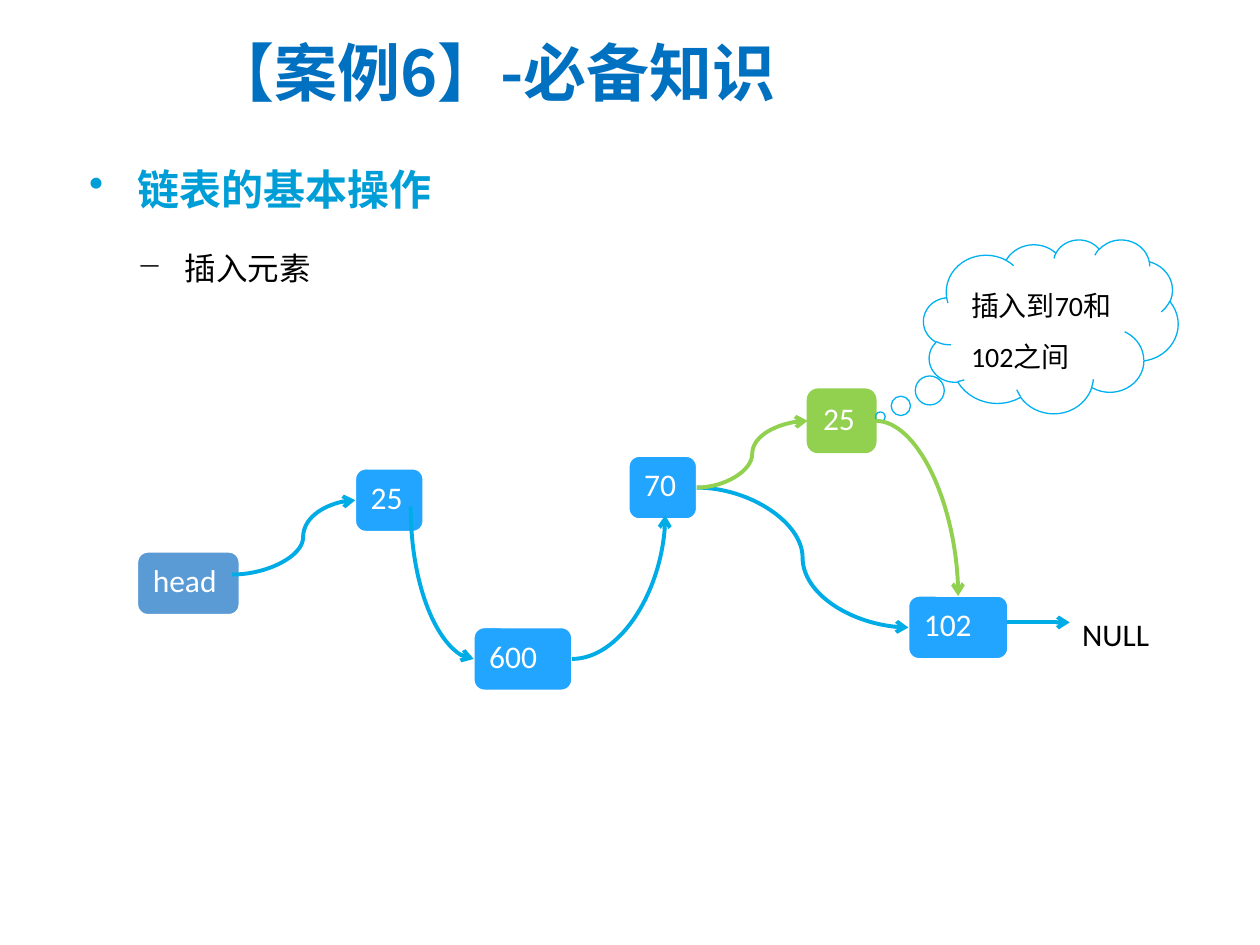
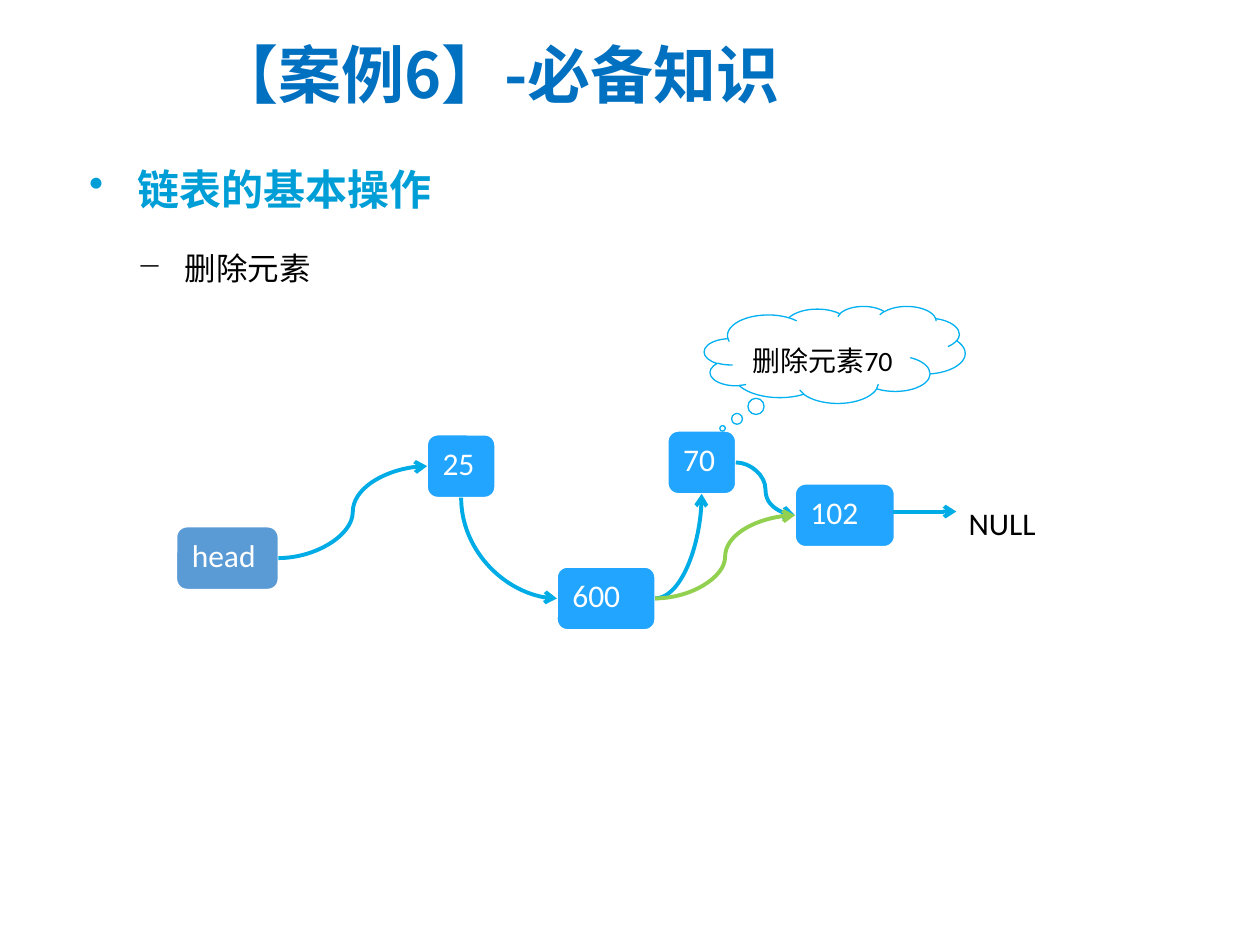
from dataclasses import dataclass

from pptx import Presentation
from pptx.dml.color import RGBColor
from pptx.enum.shapes import MSO_CONNECTOR as Connector, MSO_SHAPE as Shape
from pptx.enum.text import MSO_ANCHOR as Anchor, MSO_AUTO_SIZE as AutoSize, PP_ALIGN as Align
from pptx.oxml.ns import qn
from pptx.oxml.xmlchemy import OxmlElement
from pptx.util import Inches, Pt

TOP, LEFT, BOTTOM, RIGHT = range(4)


@dataclass(frozen=True)
class Theme:
    """Colours, fonts and type sizes shared by the slides."""
    title: str = "0070C0"
    heading: str = "009ED6"
    body: str = "000000"
    white: str = "FFFFFF"
    head: str = "5B9BD5"
    node: str = "21A5FF"
    link: str = "00ACE6"
    change: str = "92D050"
    cloud: str = "00B0F0"
    latin: str = "Calibri"
    chinese: str = "Noto Sans CJK SC"
    title_size: int = 36
    heading_size: int = 24
    body_size: int = 18
    cloud_size: int = 16


THEME = Theme()
NODE_HEIGHT = 0.5
NODE_WIDTHS = {"head": 0.81, "25": 0.54, "70": 0.54, "600": 0.78, "102": 0.79}


def rgb(color):
    """Turn a hex string into a colour."""
    return RGBColor.from_string(color)


def write(shape, text, size, color, font=THEME.latin, bold=False):
    """Write one left-aligned paragraph and return it."""
    para = shape.text_frame.paragraphs[0]
    para.alignment = Align.LEFT
    span = para.add_run()
    span.text = text
    span.font.size = Pt(size)
    span.font.bold = bold
    span.font.name = font
    span.font.color.rgb = rgb(color)
    east_asian = OxmlElement("a:ea")
    east_asian.set("typeface", THEME.chinese)
    span.font._element.find(qn("a:latin")).addnext(east_asian)
    return para


def add_box(page, left, top, width, height, wrap=True):
    """Add an empty text box."""
    box = page.shapes.add_textbox(Inches(left), Inches(top), Inches(width), Inches(height))
    box.text_frame.word_wrap = wrap
    return box


def set_spacing(para, size):
    """Open up the lines and the space before a paragraph."""
    para.line_spacing = 1.5
    para.space_before = Pt(size * 0.2)


def set_bullet(para, mark):
    """Give a paragraph a hanging bullet."""
    properties = para._p.get_or_add_pPr()
    properties.set("marL", str(Inches(0.38)))
    properties.set("indent", str(-Inches(0.38)))
    bullet = OxmlElement("a:buChar")
    bullet.set("char", mark)
    properties.append(bullet)


def add_title(page, left, top):
    """Add the title of the case."""
    box = add_box(page, left, top, 5.63, 0.84)
    box.text_frame.vertical_anchor = Anchor.MIDDLE
    write(box, "【案例6】-必备知识", THEME.title_size, THEME.title, THEME.chinese, True)


def add_outline(page, operation):
    """Add the shared heading and the operation beneath it."""
    heading = add_box(page, 0.61, 1.05, 2.95, 0.71, wrap=False)
    para = write(heading, "链表的基本操作", THEME.heading_size, THEME.heading, bold=True)
    set_spacing(para, THEME.heading_size)
    set_bullet(para, "•")
    detail = add_box(page, 0.99, 1.78, 2.57, 0.5)
    para = write(detail, operation, THEME.body_size, THEME.body)
    set_spacing(para, THEME.body_size)
    set_bullet(para, "−")


def add_node(page, label, left, top, fill=THEME.node, line=THEME.white):
    """Add one node of the linked list."""
    node = page.shapes.add_shape(Shape.ROUNDED_RECTANGLE, Inches(left), Inches(top),
                                 Inches(NODE_WIDTHS[label]), Inches(NODE_HEIGHT))
    node.shadow.inherit = False
    node.fill.solid()
    node.fill.fore_color.rgb = rgb(fill)
    node.line.color.rgb = rgb(line)
    node.line.width = Pt(1)
    node.text_frame.vertical_anchor = Anchor.TOP
    write(node, label, THEME.body_size, THEME.white)
    return node


def add_chain(page, places):
    """Add the nodes of the list and return them by label."""
    return {label: add_node(page, label, left, top,
                            THEME.head if label == "head" else THEME.node)
            for label, (left, top) in places.items()}


def side(node, site):
    """Return the middle of one side of a node."""
    across = {LEFT: 0, RIGHT: node.width}.get(site, node.width // 2)
    down = {TOP: 0, BOTTOM: node.height}.get(site, node.height // 2)
    return node.left + across, node.top + down


def spot(left, top):
    """Return a free point on the slide."""
    return Inches(left), Inches(top)


def style_link(link, color):
    """Colour a connector, remove its shadow and add an arrowhead."""
    link.line.color.rgb = rgb(color)
    link.line.width = Pt(2.25)
    arrow = OxmlElement("a:tailEnd")
    arrow.set("type", "arrow")
    link.line._get_or_add_ln().append(arrow)
    link._element.spPr.append(OxmlElement("a:effectLst"))


def add_link(page, start, end, color=THEME.link, kind=Connector.CURVE):
    """Draw an arrow between two points."""
    link = page.shapes.add_connector(kind, *start, *end)
    style_link(link, color)
    return link


def add_bend(page, start, end, color=THEME.link):
    """Draw a quarter curve that leaves sideways and arrives upright."""
    link = add_link(page, start, end, color)
    link._element.spPr.prstGeom.set("prst", "curvedConnector2")


def add_drop(page, start, end):
    """Draw a quarter curve that leaves downwards and arrives sideways."""
    (x1, y1), (x2, y2) = start, end
    middle_x, middle_y = (x1 + x2) // 2, (y1 + y2) // 2
    half_width, half_height = (x2 - x1) // 2, (y2 - y1) // 2
    link = add_link(page, (middle_x + half_height, middle_y - half_width),
                    (middle_x - half_height, middle_y + half_width))
    link._element.spPr.prstGeom.set("prst", "curvedConnector2")
    link._element.spPr.xfrm.set("rot", str(270 * 60000))


def join(page, first, second, color=THEME.link):
    """Join the right side of one node to the left side of the next."""
    link = add_link(page, side(first, RIGHT), side(second, LEFT), color)
    link.begin_connect(first, RIGHT)
    link.end_connect(second, LEFT)


def add_list_end(page, left, top):
    """Add the arrow to NULL and its label."""
    add_link(page, spot(left - 0.5, top), spot(left, top), kind=Connector.STRAIGHT)
    box = add_box(page, left, top - 0.26, 0.93, 0.56)
    para = write(box, "NULL", THEME.body_size, THEME.body)
    set_spacing(para, THEME.body_size)


def add_thought(page, text, left, top, width, height, tail):
    """Add a thought cloud whose tail points at a node."""
    cloud = page.shapes.add_shape(Shape.CLOUD_CALLOUT, Inches(left), Inches(top),
                                  Inches(width), Inches(height))
    cloud.shadow.inherit = False
    cloud.adjustments[0], cloud.adjustments[1] = tail
    cloud.fill.background()
    cloud.line.color.rgb = rgb(THEME.cloud)
    cloud.line.width = Pt(0.75)
    cloud.text_frame.vertical_anchor = Anchor.MIDDLE
    cloud.text_frame.auto_size = AutoSize.SHAPE_TO_FIT_TEXT
    write(cloud, text, THEME.cloud_size, THEME.body).line_spacing = 1.5


def build_insertion(page):
    """Show a node inserted between 70 and 102."""
    add_outline(page, "插入元素")
    add_title(page, 1.58, 0.15)
    chain = add_chain(page, {"head": (1.09, 4.38), "25": (2.82, 3.72), "70": (4.99, 3.62),
                             "600": (3.76, 4.98), "102": (7.21, 4.73)})
    inserted = add_node(page, "25", 6.41, 3.09, THEME.change, THEME.change)
    entry = add_link(page, spot(1.84, 4.56), side(chain["25"], LEFT))
    entry.end_connect(chain["25"], LEFT)
    entry_guide = entry._element.spPr.prstGeom.get_or_add_avLst()._add_gd()
    entry_guide.set("name", "adj1")
    entry_guide.set("fmla", "val 57700")
    add_drop(page, spot(3.26, 4.02), side(chain["600"], LEFT))
    add_bend(page, side(chain["600"], RIGHT), spot(5.28, 4.09))
    join(page, chain["70"], chain["102"])
    add_list_end(page, 8.49, 4.94)
    add_thought(page, "插入到70和102之间", 7.33, 1.9, 2.02, 1.38, (-0.67, 0.52))
    add_bend(page, side(inserted, RIGHT), side(chain["102"], TOP), THEME.change)
    join(page, chain["70"], inserted, THEME.change)


def build_deletion(page):
    """Show node 70 bypassed and removed."""
    add_outline(page, "删除元素")
    add_title(page, 1.61, 0.16)
    chain = add_chain(page, {"head": (1.4, 4.18), "25": (3.39, 3.45), "70": (5.3, 3.42),
                             "600": (4.42, 4.5), "102": (6.31, 3.84)})
    join(page, chain["head"], chain["25"])
    add_drop(page, side(chain["25"], BOTTOM), side(chain["600"], LEFT))
    add_bend(page, side(chain["600"], RIGHT), side(chain["70"], BOTTOM))
    join(page, chain["70"], chain["102"])
    add_list_end(page, 7.59, 4.06)
    add_thought(page, "删除元素70", 5.59, 2.43, 2.07, 0.77, (-0.43, 0.76))
    join(page, chain["600"], chain["102"], THEME.change)


def main():
    """Build and save the deck."""
    deck = Presentation()
    deck.slide_width, deck.slide_height = Inches(10), Inches(7.5)
    for build in (build_insertion, build_deletion):
        build(deck.slides.add_slide(deck.slide_layouts[6]))
    deck.save("out.pptx")


if __name__ == "__main__":
    main()
